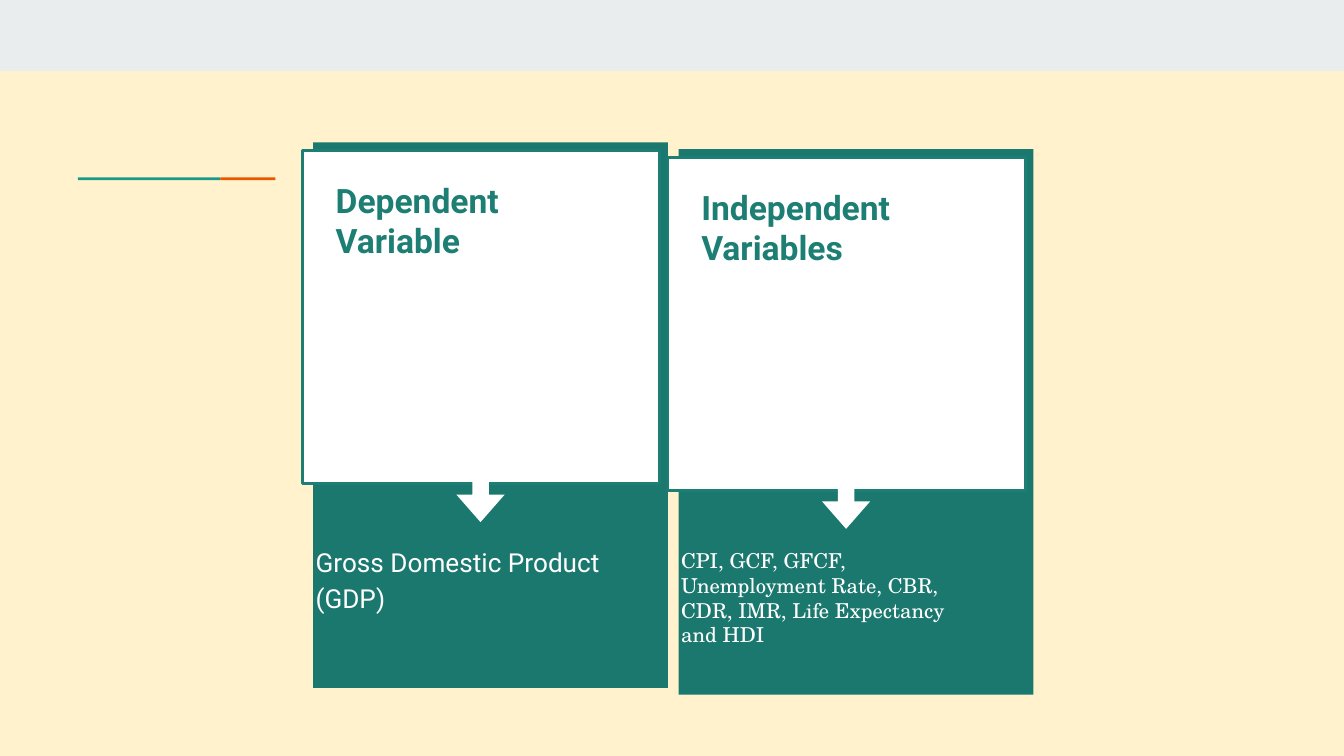
from dataclasses import dataclass

from pptx import Presentation
from pptx.dml.color import RGBColor
from pptx.enum.shapes import MSO_SHAPE as Preset
from pptx.util import Inches, Pt


@dataclass(frozen=True)
class Theme:
    """Colours, fonts and type sizes of the slide."""
    background: str = "FFF2CC"
    band: str = "E9EDEE"
    teal: str = "1A9988"
    orange: str = "EB5600"
    panel: str = "1B786E"
    heading: str = "1D7E74"
    white: str = "FFFFFF"
    sans: str = "Roboto"
    serif: str = "TeX Gyre Schola"
    heading_size: int = 18
    body_size: int = 14
    list_size: int = 11


THEME = Theme()


def add_block(page, preset, left, top, width, height, fill, line=None):
    """Add a flat filled shape, outlined when a line colour is given."""
    block = page.shapes.add_shape(
        preset, Inches(left), Inches(top), Inches(width), Inches(height))
    block.shadow.inherit = False
    block.fill.solid()
    block.fill.fore_color.rgb = RGBColor.from_string(fill)
    if line:
        block.line.color.rgb = RGBColor.from_string(line)
        block.line.width = Pt(1.5)
    else:
        block.line.fill.background()
    return block


def add_label(page, left, top, width, height, text, font, size, color,
              bold=False, spacing=1.0, right_inset=0.1):
    """Add a wrapped, single-paragraph text box."""
    box = page.shapes.add_textbox(
        Inches(left), Inches(top), Inches(width), Inches(height))
    frame = box.text_frame
    frame.word_wrap = True
    frame.margin_left = frame.margin_top = frame.margin_bottom = Inches(0.1)
    frame.margin_right = Inches(right_inset)
    frame.text = text
    para = frame.paragraphs[0]
    para.line_spacing = spacing
    face = para.runs[0].font
    face.name, face.size, face.bold = font, Pt(size), bold
    face.color.rgb = RGBColor.from_string(color)


def add_header(page, width):
    """Add the top band and the two-colour accent rule."""
    add_block(page, Preset.RECTANGLE, 0, 0, width, 0.53, THEME.band)
    rule_top, rule_height = 1.32, 0.02
    for left, length, color in ((0.58, 1.06, THEME.teal),
                                (1.64, 0.41, THEME.orange)):
        add_block(page, Preset.RECTANGLE, left, rule_top, length,
                  rule_height, color)


def add_variable_card(page, left, top, heading, body, font, size, spacing):
    """Add a heading card over a panel, with an arrow down to its body."""
    add_block(page, Preset.RECTANGLE, left + 0.08, top, 2.64, 4.06,
              THEME.panel)
    add_block(page, Preset.RECTANGLE, left, top + 0.06, 2.66, 2.48,
              THEME.white, THEME.heading)
    add_label(page, left + 0.15, top + 0.18, 2.36, 0.67, heading, THEME.sans,
              THEME.heading_size, THEME.heading, bold=True)
    arrow = add_block(page, Preset.RIGHT_ARROW, left + 1.13, top + 2.45,
                      0.39, 0.36, THEME.white)
    arrow.rotation = 90
    arrow.adjustments[0] = 0.342
    arrow.adjustments[1] = 0.57
    add_label(page, left, top + 2.87, 2.64, 1.08, body, font, size,
              THEME.white, spacing=spacing, right_inset=0.35)


def build_page(deck):
    """Build the slide of dependent and independent variables."""
    page = deck.slides.add_slide(deck.slide_layouts[6])
    page.background.fill.solid()
    page.background.fill.fore_color.rgb = RGBColor.from_string(
        THEME.background)
    add_header(page, 10)
    cards = (
        ("Dependent Variable", "Gross Domestic Product (GDP)",
         THEME.sans, THEME.body_size, 1.15),
        ("Independent Variables",
         "CPI, GCF, GFCF, Unemployment Rate, CBR, CDR, IMR, "
         "Life Expectancy and HDI",
         THEME.serif, THEME.list_size, 1.0),
    )
    for index, card in enumerate(cards):
        add_variable_card(page, 2.25 + 2.72 * index, 1.06 + 0.05 * index,
                          *card)


deck = Presentation()
deck.slide_width = Inches(10)
deck.slide_height = deck.slide_width * 9 // 16
build_page(deck)
deck.save("out.pptx")
